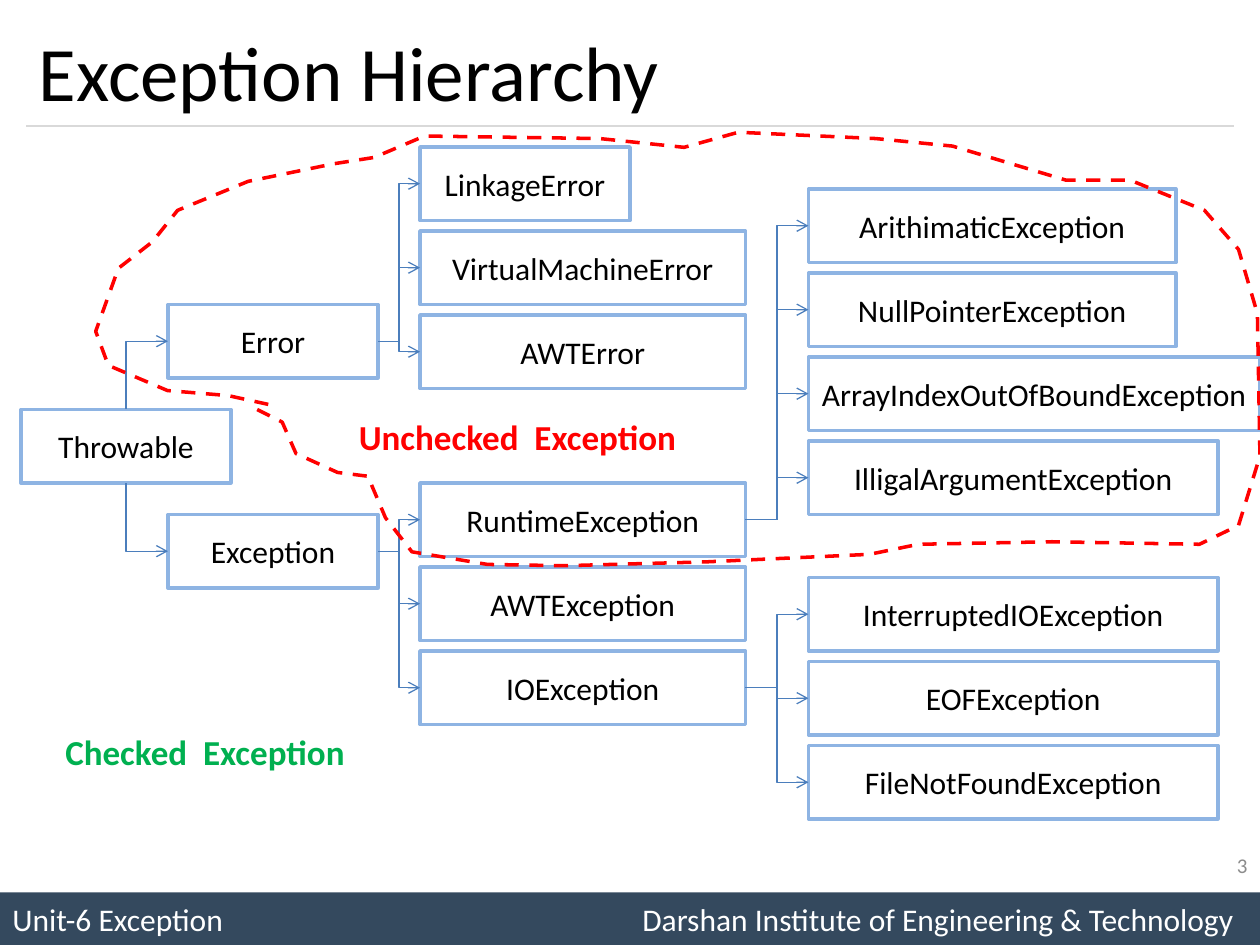
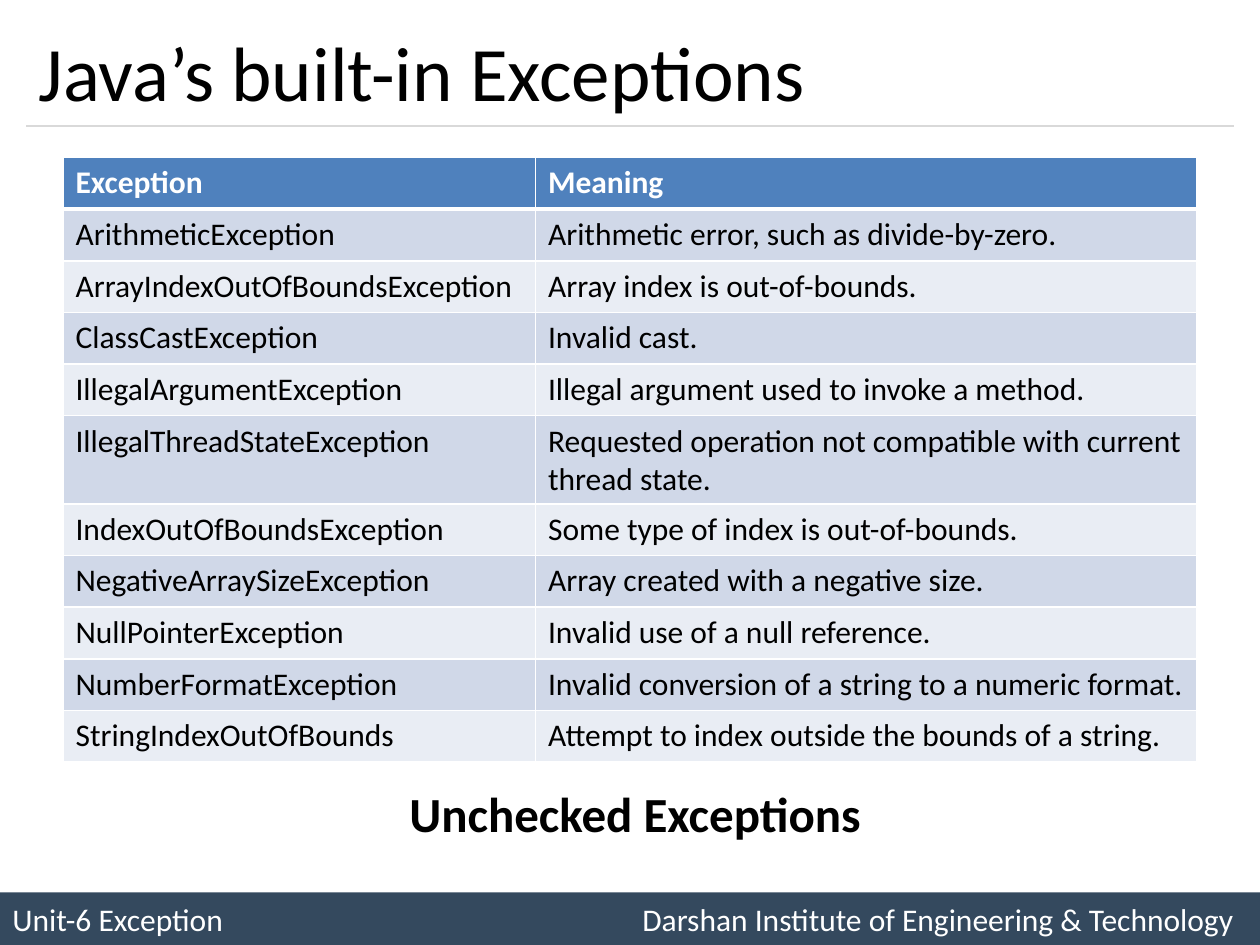
from dataclasses import dataclass
from lxml.etree import SubElement
from pptx import Presentation
from pptx.dml.color import RGBColor
from pptx.enum.dml import MSO_LINE
from pptx.enum.shapes import MSO_CONNECTOR as Connector, MSO_SHAPE as Shape
from pptx.enum.text import MSO_ANCHOR as Anchor, PP_ALIGN as Align
from pptx.oxml.ns import qn
from pptx.util import Inches, Pt

FOOTER = ("Unit-6 Exception", "Darshan Institute of Engineering & Technology")
HIERARCHY_TITLE = "Exception Hierarchy"
HIERARCHY_NUMBER = "3"
BUILT_IN_TITLE = "Java’s built-in Exceptions"
BUILT_IN_CAPTION = "Unchecked Exceptions"

# parent: (level, first row in twelfths of an inch, children)
BRANCHES = {
    None: (0, 39, ["Throwable"]),
    "Throwable": (1, 29, ["Error", "Exception"]),
    "Error": (2, 14, ["LinkageError", "VirtualMachineError", "AWTError"]),
    "Exception": (2, 46, ["RuntimeException", "AWTException", "IOException"]),
    "RuntimeException": (3, 18, ["ArithimaticException",
                                 "NullPointerException",
                                 "ArrayIndexOutOfBoundException",
                                 "IlligalArgumentException"]),
    "IOException": (3, 55, ["InterruptedIOException", "EOFException",
                            "FileNotFoundException"]),
}
ROOT = "Throwable"
LEVEL_COLUMNS = (2, 16, 40, 77)
LEVEL_WIDTHS = (20, 20, 31, 39)
OTHER_WIDTHS = {"LinkageError": 20, "ArithimaticException": 35,
                "NullPointerException": 35,
                "ArrayIndexOutOfBoundException": 43}
BOX_HEIGHT, SIBLING_STEP, ROOT_STEP = 7, 8, 20

# outline around the unchecked exceptions, in hundredths of an inch
UNCHECKED_OUTLINE = [
    (213, 321), (181, 314), (133, 310), (86, 290), (76, 263), (94, 213),
    (121, 192), (141, 167), (197, 144), (265, 130), (297, 125), (337, 108),
    (476, 110), (543, 117), (586, 105), (695, 110), (756, 116), (846, 143),
    (897, 143), (956, 167), (983, 198), (998, 249), (1000, 362), (983, 417),
    (952, 432), (835, 430), (729, 432), (690, 440), (560, 446), (448, 449),
    (387, 448), (327, 438), (306, 411), (292, 378), (268, 375), (235, 360),
    (224, 335), (202, 324),
]

BUILT_IN = [
    ("Exception", "Meaning"),
    ("ArithmeticException", "Arithmetic error, such as divide-by-zero."),
    ("ArrayIndexOutOfBoundsException", "Array index is out-of-bounds."),
    ("ClassCastException", "Invalid cast."),
    ("IllegalArgumentException", "Illegal argument used to invoke a method."),
    ("IllegalThreadStateException",
     "Requested operation not compatible with current thread state."),
    ("IndexOutOfBoundsException", "Some type of index is out-of-bounds."),
    ("NegativeArraySizeException", "Array created with a negative size."),
    ("NullPointerException", "Invalid use of a null reference."),
    ("NumberFormatException",
     "Invalid conversion of a string to a numeric format."),
    ("StringIndexOutOfBounds",
     "Attempt to index outside the bounds of a string."),
]
MEANING_COLUMNS = (3.75, 5.25)
ROW_HEIGHT = 0.41


@dataclass(frozen=True)
class Theme:
    font: str = "Calibri"
    ink: str = "000000"
    white: str = "FFFFFF"
    footer: str = "34495E"
    rule: str = "D9D9D9"
    number: str = "8C8C8C"
    box: str = "8EB4E3"
    branch: str = "4B7EBC"
    unchecked: str = "FF0000"
    checked: str = "00B050"
    header: str = "4F81BD"
    bands: tuple = ("E9EDF4", "D0D8E8")
    title_size: int = 44
    caption_size: int = 28
    label_size: int = 20
    body_size: int = 18
    number_size: int = 12


THEME = Theme()
WIDTH, HEIGHT = 10, 7.5
UNIT = Inches(1 / 12)


def rgb(color):
    return RGBColor.from_string(color)


def write(frame, text, size=THEME.body_size, color=THEME.ink, bold=False,
          align=Align.LEFT, anchor=Anchor.MIDDLE, wrap=True, tab=None):
    frame.word_wrap = wrap
    frame.vertical_anchor = anchor
    paragraph = frame.paragraphs[0]
    paragraph.alignment = align
    if tab:
        stops = SubElement(paragraph._p.get_or_add_pPr(), qn("a:tabLst"))
        SubElement(stops, qn("a:tab"), pos=str(Inches(tab)), algn="l")
    run = paragraph.add_run()
    run.text = text
    run.font.name, run.font.size, run.font.bold = THEME.font, Pt(size), bold
    run.font.color.rgb = rgb(color)


def add_text(slide, place, text, **style):
    box = slide.shapes.add_textbox(*map(Inches, place))
    write(box.text_frame, text, **style)


def style_line(shape, color, width):
    shape.line.color.rgb = rgb(color)
    shape.line.width = Pt(width)


def add_line(slide, kind, ends, color):
    line = slide.shapes.add_connector(kind, *ends)
    style_line(line, color, 0.75)
    SubElement(line._element.spPr, qn("a:effectLst"))
    return line


def add_slide(deck, title):
    slide = deck.slides.add_slide(deck.slide_layouts[6])
    band = slide.shapes.add_shape(Shape.RECTANGLE, 0, 85 * UNIT,
                                  Inches(WIDTH), 5 * UNIT)
    band.shadow.inherit = False
    band.fill.solid()
    band.fill.fore_color.rgb = rgb(THEME.footer)
    band.line.fill.background()
    write(band.text_frame, "\t".join(FOOTER), color=THEME.white, tab=WIDTH / 2)
    margin = 0.21
    add_line(slide, Connector.STRAIGHT,
             map(Inches, (margin, 1, WIDTH - margin, 1)), THEME.rule)
    add_text(slide, (margin, 0.12, WIDTH - 2 * margin, 0.88), title,
             size=THEME.title_size)
    return slide


def add_class(slide, name, level, row):
    width = OTHER_WIDTHS.get(name, LEVEL_WIDTHS[level])
    box = slide.shapes.add_shape(Shape.RECTANGLE, LEVEL_COLUMNS[level] * UNIT,
                                 row * UNIT, width * UNIT, BOX_HEIGHT * UNIT)
    box.shadow.inherit = False
    box.fill.background()
    style_line(box, THEME.box, 2)
    box.text_frame.margin_left = box.text_frame.margin_right = Inches(0.05)
    write(box.text_frame, name, align=Align.CENTER)
    return box


def add_branch(slide, parent, child, from_root):
    top, left, bottom, right = range(4)
    branch = add_line(slide, Connector.ELBOW, (0, 0, 0, 0), THEME.branch)
    if from_root:
        branch.begin_connect(child, left)
        branch.end_connect(parent, top if child.top < parent.top else bottom)
        geometry = branch._element.spPr.find(qn("a:prstGeom"))
        geometry.set("prst", "bentConnector2")
    else:
        branch.begin_connect(parent, right)
        branch.end_connect(child, left)
    arrow_end = "a:headEnd" if from_root else "a:tailEnd"
    SubElement(branch.line._get_or_add_ln(), qn(arrow_end), type="arrow")


def build_hierarchy(deck):
    slide = add_slide(deck, HIERARCHY_TITLE)
    add_text(slide, (7.67, 6.67, 2.33, 0.4), HIERARCHY_NUMBER,
             size=THEME.number_size, color=THEME.number, align=Align.RIGHT)
    classes = {}
    for parent, (level, first_row, children) in BRANCHES.items():
        step = ROOT_STEP if parent == ROOT else SIBLING_STEP
        for i, name in enumerate(children):
            classes[name] = add_class(slide, name, level, first_row + i * step)
    for parent, (_, _, children) in BRANCHES.items():
        if parent:
            for name in children:
                add_branch(slide, classes[parent], classes[name],
                           parent == ROOT)
    builder = slide.shapes.build_freeform(*UNCHECKED_OUTLINE[0],
                                          scale=Inches(0.01))
    builder.add_line_segments(UNCHECKED_OUTLINE[1:], close=False)
    outline = builder.convert_to_shape()
    outline.shadow.inherit = False
    outline.fill.background()
    style_line(outline, THEME.unchecked, 2)
    outline.line.dash_style = MSO_LINE.DASH
    for place, label, color in (
            ((2.75, 3.25, 2.74, 0.44), "Unchecked  Exception", THEME.unchecked),
            ((0.42, 5.75, 2.44, 0.44), "Checked  Exception", THEME.checked)):
        add_text(slide, place, label, size=THEME.label_size, color=color,
                 bold=True, anchor=Anchor.TOP, wrap=False)


def set_borders(cell, top, bottom):
    properties = cell._tc.get_or_add_tcPr()
    for side, width in (("L", 1), ("R", 1), ("T", top), ("B", bottom)):
        edge = SubElement(properties, qn(f"a:ln{side}"), w=str(Pt(width)))
        fill = SubElement(edge, qn("a:solidFill"))
        SubElement(fill, qn("a:srgbClr"), val=THEME.white)


def build_built_in(deck):
    slide = add_slide(deck, BUILT_IN_TITLE)
    table = slide.shapes.add_table(
        len(BUILT_IN), len(MEANING_COLUMNS), Inches(0.5), Inches(1.25),
        Inches(sum(MEANING_COLUMNS)), Inches(ROW_HEIGHT * len(BUILT_IN))).table
    table.horz_banding = False
    for column, width in zip(table.columns, MEANING_COLUMNS):
        column.width = Inches(width)
    for r, entry in enumerate(BUILT_IN):
        header = r == 0
        table.rows[r].height = Inches(ROW_HEIGHT)
        for c, text in enumerate(entry):
            cell = table.cell(r, c)
            set_borders(cell, 3 if r == 1 else 1, 3 if header else 1)
            cell.fill.solid()
            cell.fill.fore_color.rgb = rgb(
                THEME.header if header else THEME.bands[r % 2])
            write(cell.text_frame, text, bold=header, anchor=Anchor.TOP,
                  color=THEME.white if header else THEME.ink)
    add_text(slide, (0.75, 6.17, 8.58, 0.57), BUILT_IN_CAPTION,
             size=THEME.caption_size, bold=True, align=Align.CENTER,
             anchor=Anchor.TOP)


def main():
    deck = Presentation()
    deck.slide_width, deck.slide_height = Inches(WIDTH), Inches(HEIGHT)
    build_hierarchy(deck)
    build_built_in(deck)
    deck.save("out.pptx")


if __name__ == "__main__":
    main()
